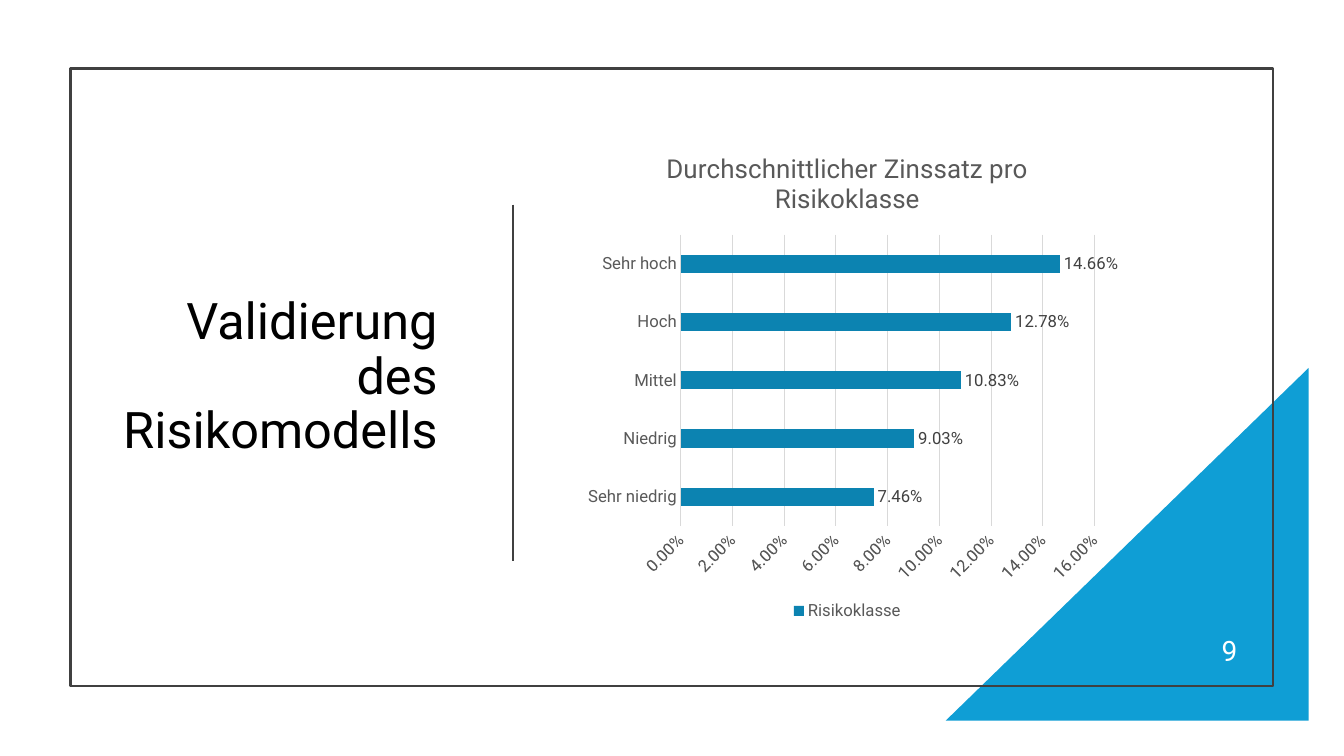
from pptx import Presentation
from pptx import util as u
from pptx.chart.data import CategoryChartData
from pptx.dml.color import RGBColor
from pptx.enum import chart as ch, shapes, text
from pptx.oxml import parse_xml
from pptx.oxml.ns import nsdecls, qn

PX = 9144  # EMU per px, 100 px to the inch
COLOURS = {
    "accent": "0F9ED5", "bar": "0C83B1", "frame": "404040", "label": "404040",
    "axis": "595959", "grid": "D9D9D9", "title": "000000", "white": "FFFFFF",
}
RATES = {
    "Sehr niedrig": 0.0746, "Niedrig": 0.0903, "Mittel": 0.1083,
    "Hoch": 0.1278, "Sehr hoch": 0.1466,
}


def colour(name):
    return RGBColor.from_string(COLOURS[name])


def px(*lengths):
    return [u.Emu(length * PX) for length in lengths]


class SlideBuilder:
    font_name = "Roboto"
    percent = "0.00%"

    def __init__(self, slide):
        self.slide = slide

    def style_font(self, font, size, name):
        font.name, font.size, font.bold = self.font_name, u.Pt(size), False
        font.color.rgb = colour(name)

    def style_line(self, line, name, width):
        line.color.rgb = colour(name)
        line.width = u.Pt(width)

    def shape(self, preset, box, fill=None, line=None, mirrored=False):
        shape = self.slide.shapes.add_shape(preset, *px(*box))
        shape.shadow.inherit = False
        if fill:
            shape.fill.solid()
            shape.fill.fore_color.rgb = colour(fill)
        else:
            shape.fill.background()
        if line:
            self.style_line(shape.line, line, 1.5)
        else:
            shape.line.fill.background()
        if mirrored:
            shape._element.spPr.find(qn("a:xfrm")).set("flipH", "1")

    def line(self, start, end, name):
        connector = self.slide.shapes.add_connector(
            shapes.MSO_CONNECTOR.STRAIGHT, *px(*start, *end))
        self.style_line(connector.line, name, 1.5)
        connector._element.spPr.append(parse_xml(f"<a:effectLst {nsdecls('a')}/>"))

    def text(self, content, box, size, name, spacing=1.0):
        """Add a right-aligned, vertically centred text box."""
        frame = self.slide.shapes.add_textbox(*px(*box)).text_frame
        frame.word_wrap = True
        frame.vertical_anchor = text.MSO_ANCHOR.MIDDLE
        paragraph = frame.paragraphs[0]
        paragraph.alignment = text.PP_ALIGN.RIGHT
        paragraph.line_spacing = spacing
        run = paragraph.add_run()
        run.text = content
        self.style_font(run.font, size, name)

    def bar_chart(self, title, series_name, values, box, plot_area):
        data = CategoryChartData(number_format=self.percent)
        data.categories = list(values)
        data.add_series(series_name, list(values.values()))
        chart = self.slide.shapes.add_chart(
            ch.XL_CHART_TYPE.BAR_CLUSTERED, *px(*box), data).chart
        self.style_font(chart.font, 12, "axis")
        self.chart_title(chart, title)
        self.category_axis(chart.category_axis)
        self.value_axis(chart.value_axis)
        self.bars(chart.plots[0])
        chart.has_legend = True
        chart.legend.position = ch.XL_LEGEND_POSITION.BOTTOM
        chart.legend.include_in_layout = False
        self.style_font(chart.legend.font, 12, "axis")
        self.place_plot(chart, plot_area)

    def chart_title(self, chart, title):
        chart.has_title = True
        run = chart.chart_title.text_frame.paragraphs[0].add_run()
        run.text = title
        self.style_font(run.font, 18.6, "axis")
        chart.chart_title.include_in_layout = False

    def category_axis(self, axis):
        axis.major_tick_mark = ch.XL_TICK_MARK.NONE
        self.style_font(axis.tick_labels.font, 12, "axis")
        self.style_line(axis.format.line, "grid", 0.75)

    def value_axis(self, axis):
        axis.minimum_scale, axis.maximum_scale, axis.major_unit = 0, 0.16, 0.02
        axis.major_tick_mark = ch.XL_TICK_MARK.NONE
        axis.format.line.fill.background()
        self.style_line(axis.major_gridlines.format.line, "grid", 0.75)
        labels = axis.tick_labels
        labels.number_format, labels.number_format_is_linked = self.percent, False
        self.style_font(labels.font, 12, "axis")
        body = axis._element.find(qn("c:txPr")).find(qn("a:bodyPr"))
        body.set("rot", "-2700000")
        body.set("vert", "horz")

    def bars(self, plot):
        plot.gap_width = 219
        plot.vary_by_categories = False
        fill = plot.series[0].format.fill
        fill.solid()
        fill.fore_color.rgb = colour("bar")
        plot.has_data_labels = True
        labels = plot.data_labels
        labels.show_value = True
        labels.position = ch.XL_LABEL_POSITION.OUTSIDE_END
        labels.number_format, labels.number_format_is_linked = self.percent, False
        self.style_font(labels.font, 12, "label")

    def place_plot(self, chart, area):
        """Fix the inner plot area, given as fractions of the chart."""
        plot_area = chart._chartSpace.chart.plotArea
        for layout in plot_area.findall(qn("c:layout")):
            plot_area.remove(layout)
        sizes = "".join(f'<c:{key} val="{value}"/>' for key, value in zip("xywh", area))
        plot_area.insert(0, parse_xml(
            f'<c:layout {nsdecls("c")}><c:manualLayout><c:layoutTarget val="inner"/>'
            f'<c:xMode val="edge"/><c:yMode val="edge"/>{sizes}'
            "</c:manualLayout></c:layout>"))


def main():
    presentation = Presentation()
    presentation.slide_width, presentation.slide_height = px(1333, 750)
    builder = SlideBuilder(presentation.slides.add_slide(presentation.slide_layouts[6]))
    preset = shapes.MSO_SHAPE
    builder.shape(preset.RIGHT_TRIANGLE, (938, 365, 360, 350), fill="accent", mirrored=True)
    builder.shape(preset.RECTANGLE, (70, 68, 1193, 613), line="frame")
    builder.text("Validierung des Risikomodells", (110, 130, 334, 490), 36, "title", 0.9)
    builder.line((509, 203), (509, 557), "frame")
    builder.bar_chart("Durchschnittlicher Zinssatz pro Risikoklasse", "Risikoklasse",
                      RATES, (574, 130, 535, 490), (0.19, 0.21, 0.77, 0.59))
    builder.text("9", (937, 625, 300, 40), 20, "white")
    presentation.save("out.pptx")


if __name__ == "__main__":
    main()
